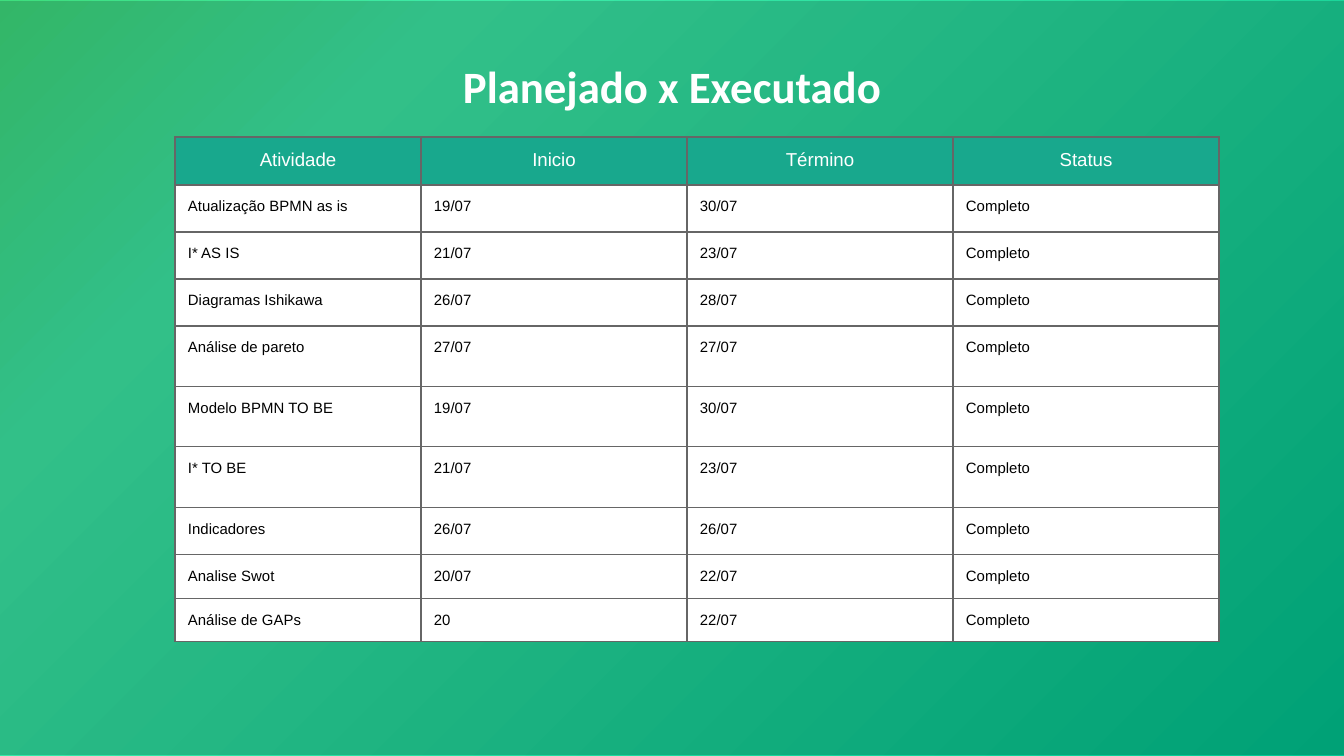
from lxml.etree import SubElement
from pptx import Presentation
from pptx.dml.color import RGBColor
from pptx.enum.shapes import MSO_SHAPE as Shape
from pptx.enum.text import MSO_ANCHOR as Anchor, PP_ALIGN as Align
from pptx.oxml.ns import qn
from pptx.util import Pt

EMU_PER_PX = 914400 / 134.4
SLIDE_W, SLIDE_H = 1344, 756
INSET = 13

COLORS = {
    "white": "FFFFFF",
    "black": "000000",
    "header": "18A88D",
    "border": "666666",
    "gradient_start": "40E482",
    "gradient_middle": "3FF0AB",
    "gradient_end": "00CA94",
}
GRADIENT = [(0, "gradient_start"), (22, "gradient_middle"), (100, "gradient_end")]

HEADINGS = ["Atividade", "Inicio", "Término", "Status"]
ACTIVITIES = [
    ("Atualização BPMN as is", "19/07", "30/07"),
    ("I* AS IS", "21/07", "23/07"),
    ("Diagramas Ishikawa", "26/07", "28/07"),
    ("Análise de pareto", "27/07", "27/07"),
    ("Modelo BPMN TO BE", "19/07", "30/07"),
    ("I* TO BE", "21/07", "23/07"),
    ("Indicadores", "26/07", "26/07"),
    ("Analise Swot", "20/07", "22/07"),
    ("Análise de GAPs", "20", "22/07"),
]
STATUS = "Completo"
COLUMN_WIDTHS = [246, 266, 266, 266]
ROW_HEIGHTS = [48, 47, 47, 47, 61, 60, 61, 47, 44, 43]


def px(length):
    """Turn px into EMU."""
    return round(length * EMU_PER_PX)


def rgb(name):
    """Look up a colour by name."""
    return RGBColor.from_string(COLORS[name])


def add_color(parent, name):
    """Append an RGB colour element."""
    return SubElement(parent, qn("a:srgbClr"), val=COLORS[name])


def set_insets(holder):
    """Give a text frame or cell equal margins."""
    holder.margin_left = holder.margin_right = px(INSET)
    holder.margin_top = holder.margin_bottom = px(INSET)


def style_paragraph(paragraph, size, font_name, color, align, bold=False):
    """Format the paragraph and its runs."""
    paragraph.alignment = align
    for run in paragraph.runs:
        run.font.size = Pt(size)
        run.font.name = font_name
        run.font.bold = bold
        run.font.color.rgb = rgb(color)


def paint_background(slide):
    """Fill the slide background with the diagonal gradient."""
    slide.background.fill.solid()
    properties = slide.background._cSld.bg.bgPr
    properties.remove(properties.find(qn("a:solidFill")))
    gradient = SubElement(properties, qn("a:gradFill"), rotWithShape="1")
    properties.insert(0, gradient)
    stops = SubElement(gradient, qn("a:gsLst"))
    for position, name in GRADIENT:
        add_color(SubElement(stops, qn("a:gs"), pos=str(position * 1000)), name)
    SubElement(gradient, qn("a:lin"), ang=str(45 * 60000), scaled="0")


def add_shade(slide, left, top, width, height):
    """Darken the box with a translucent black panel."""
    shade = slide.shapes.add_shape(
        Shape.RECTANGLE, px(left), px(top), px(width), px(height))
    shade.shadow.inherit = False
    shade.fill.solid()
    shade.fill.fore_color.rgb = rgb("black")
    shade.line.fill.background()
    color = shade._element.spPr.find(qn("a:solidFill"))[0]
    SubElement(color, qn("a:alpha"), val="20000")


def add_title(slide, left, top, width, height):
    """Place the slide title in the box."""
    title = slide.shapes.add_textbox(px(left), px(top), px(width), px(height))
    frame = title.text_frame
    frame.word_wrap = True
    frame.vertical_anchor = Anchor.TOP
    set_insets(frame)
    frame.text = "Planejado x Executado"
    frame.paragraphs[0].line_spacing = 1.15
    style_paragraph(frame.paragraphs[0], 24, "Calibri", "white", Align.CENTER, True)


def add_borders(cell):
    """Draw a thin line on each side of the cell."""
    properties = cell._tc.get_or_add_tcPr()
    for side in ("lnL", "lnR", "lnT", "lnB"):
        line = SubElement(properties, qn(f"a:{side}"), w=str(Pt(0.75)))
        add_color(SubElement(line, qn("a:solidFill")), "border")


def fill_cell(cell, text, is_heading):
    """Write and style one schedule cell."""
    size, color, fill, align = (
        (10, "white", "header", Align.CENTER) if is_heading
        else (8, "black", "white", Align.LEFT))
    add_borders(cell)
    set_insets(cell)
    cell.fill.solid()
    cell.fill.fore_color.rgb = rgb(fill)
    cell.text_frame.text = text
    style_paragraph(cell.text_frame.paragraphs[0], size, "Arial", color, align)


def add_schedule(slide, left, top):
    """Build the table of planned activities from its top left corner."""
    rows = [HEADINGS] + [[*activity, STATUS] for activity in ACTIVITIES]
    schedule = slide.shapes.add_table(
        len(rows), len(HEADINGS), px(left), px(top),
        px(sum(COLUMN_WIDTHS)), px(sum(ROW_HEIGHTS))).table
    schedule.horz_banding = False
    for column, width in zip(schedule.columns, COLUMN_WIDTHS):
        column.width = px(width)
    for row, height in zip(schedule.rows, ROW_HEIGHTS):
        row.height = px(height)
    for r, texts in enumerate(rows):
        for c, text in enumerate(texts):
            fill_cell(schedule.cell(r, c), text, r == 0)


def main():
    """Build and save the slide."""
    deck = Presentation()
    deck.slide_width, deck.slide_height = px(SLIDE_W), px(SLIDE_H)
    slide = deck.slides.add_slide(deck.slide_layouts[6])
    paint_background(slide)
    add_shade(slide, 0, 1, SLIDE_W, SLIDE_H - 2)
    add_schedule(slide, 175, 137)
    add_title(slide, 349, 38, 646, 58)
    deck.save("out.pptx")


if __name__ == "__main__":
    main()
